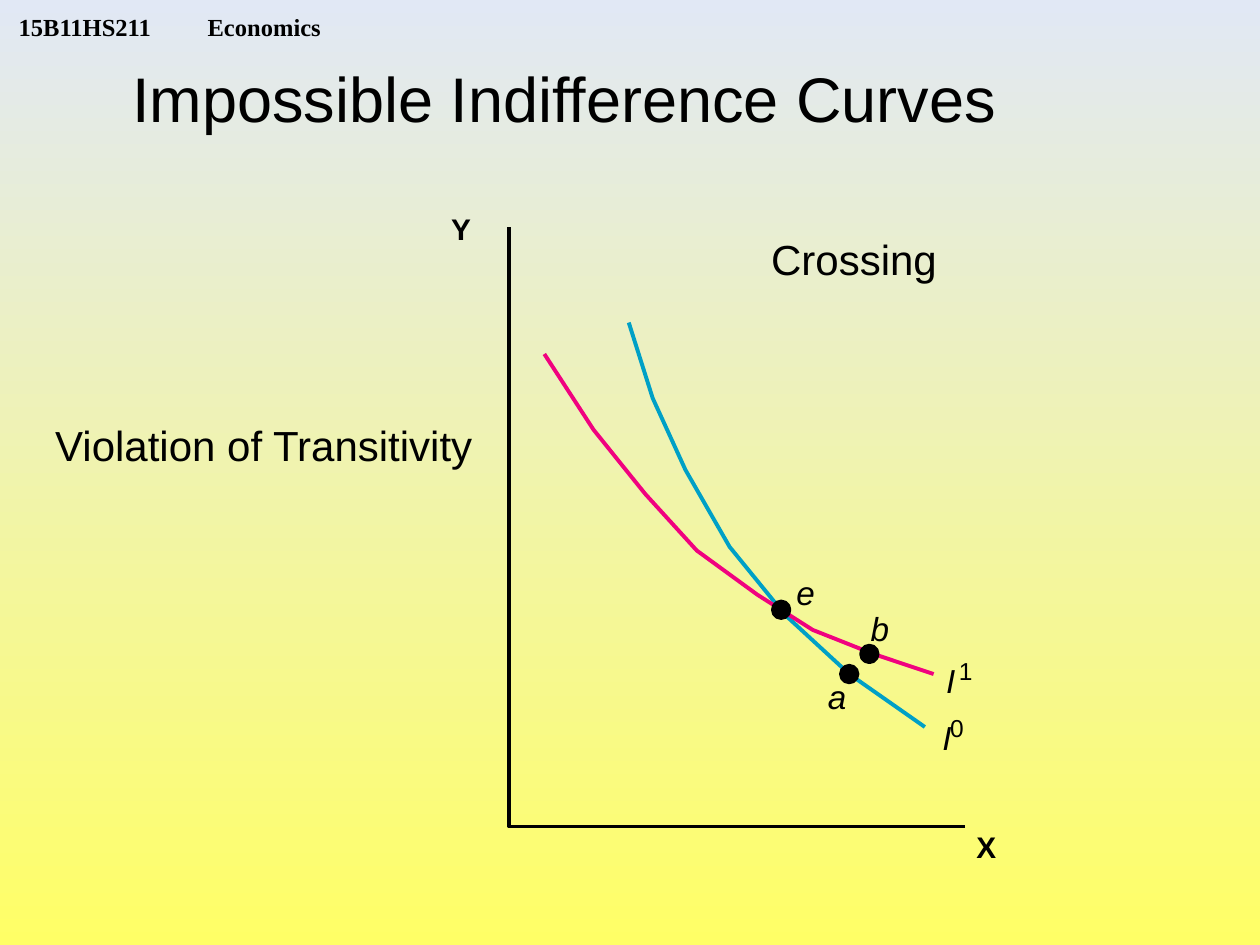
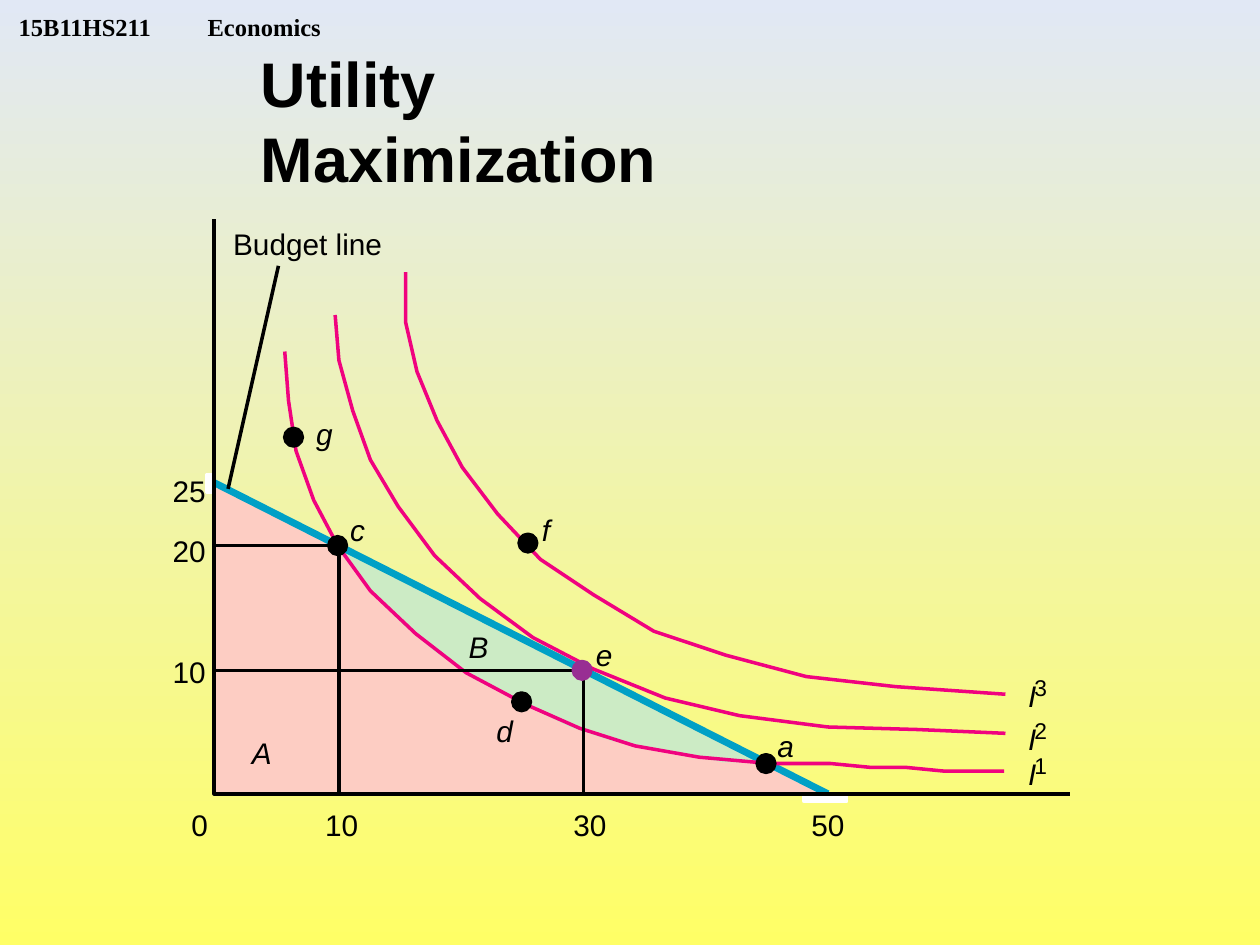
from lxml.etree import SubElement
from pptx import Presentation
from pptx.dml.color import RGBColor
from pptx.enum.shapes import MSO_CONNECTOR as Link, MSO_SHAPE as Shape
from pptx.enum.text import MSO_ANCHOR as Anchor, MSO_AUTO_SIZE as Fit, PP_ALIGN as Align
from pptx.oxml.ns import qn
from pptx.util import Inches, Pt

BLACK = RGBColor(0x00, 0x00, 0x00)
WHITE = RGBColor(0xFF, 0xFF, 0xFF)
YELLOW = RGBColor(0xFF, 0xFF, 0x66)
SKY = RGBColor(0xE1, 0xE8, 0xF5)
BLUE = RGBColor(0x00, 0xA0, 0xC6)
PINK = RGBColor(0xF0, 0x02, 0x7F)
ROSE = RGBColor(0xFD, 0xCD, 0xC3)
MINT = RGBColor(0xCC, 0xEB, 0xC5)
PLUM = RGBColor(0x98, 0x2E, 0x93)

HEADER = "15B11HS211\tEconomics"
PAD = (0.1, 0.05)
# Letter widths in ems; all others count as a digit
EMS = {"I": 0.28, "f": 0.28, "c": 0.5, "A": 0.67, "B": 0.67, "X": 0.67, "Y": 0.67}

# Slide 1: points as (x, y), letters as (text, x, y)
CROSS = {
    "title": ("Impossible Indifference Curves", 0.95, 0.42, 7.06, False),
    "axes": [(7.66, 6.56), (4.04, 6.56), (4.04, 1.8)],
    "curves": [
        (BLUE, [(4.99, 2.56), (5.18, 3.16), (5.44, 3.73), (5.79, 4.34),
                (6.23, 4.88), (6.74, 5.35), (7.34, 5.77)]),
        (PINK, [(4.32, 2.81), (4.71, 3.41), (5.12, 3.92), (5.53, 4.37),
                (6.01, 4.72), (6.45, 5), (6.93, 5.19), (7.41, 5.35)]),
    ],
    "dots": [(6.74, 5.35), (6.2, 4.84), (6.9, 5.19)],
    "letters": [("a", 6.57, 5.37), ("b", 6.91, 4.83), ("e", 6.32, 4.54)],
    "names": [("1", 7.51, 5.24, 0.1), ("0", 7.48, 5.69, 0.06)],
    "ends": [("Y", 3.58, 1.67), ("X", 7.75, 6.58)],
}

# Slide 2
LEFT, BASE = 1.7, 6.3
BEST = {
    "title": ("Utility Maximization", 1.97, 0.3, 4.86, True),
    "axes": [(8.49, BASE), (LEFT, BASE), (LEFT, 1.74)],
    "zones": [
        (ROSE, [(LEFT, 3.85), (LEFT, BASE), (6.52, BASE)]),
        (MINT, [(6.09, 6.07), (4.94, 5.48), (3.81, 4.92), (2.69, 4.33), (2.69, 4.36),
                (2.74, 4.44), (2.85, 4.58), (2.99, 4.75), (3.19, 4.95), (3.45, 5.17),
                (3.78, 5.4), (4.18, 5.6), (4.52, 5.77), (4.85, 5.88), (5.16, 5.93),
                (5.47, 5.99), (5.73, 6.05), (5.92, 6.05), (6.04, 6.07)]),
    ],
    "curves": [
        [(2.26, 2.79), (2.29, 3.18), (2.35, 3.58), (2.49, 3.97), (2.68, 4.33),
         (2.94, 4.69), (3.3, 5.03), (3.7, 5.34), (4.17, 5.59), (4.6, 5.78),
         (5.04, 5.92), (5.55, 6.01), (6.11, 6.06), (6.59, 6.06), (6.9, 6.09),
         (7.18, 6.09), (7.49, 6.12), (7.97, 6.12)],
        [(2.66, 2.5), (2.69, 2.86), (2.8, 3.26), (2.94, 3.65), (3.16, 4.02),
         (3.45, 4.41), (3.81, 4.75), (4.23, 5.06), (4.71, 5.31), (5.28, 5.54),
         (5.87, 5.68), (6.57, 5.77), (7.28, 5.79), (7.98, 5.82)],
        [(3.22, 2.16), (3.22, 2.56), (3.31, 2.95), (3.47, 3.34), (3.67, 3.71),
         (3.95, 4.08), (4.29, 4.44), (4.71, 4.72), (5.19, 5.01), (5.76, 5.2),
         (6.4, 5.37), (7.11, 5.45), (7.98, 5.51)],
    ],
    "budget": ((1.64, 3.8), (6.57, BASE)),
    "drops": [((LEFT, 4.33), (2.63, 4.33)), ((2.69, BASE), (2.69, 4.36))],
    "guides": [((LEFT, 5.32), (4.6, 5.32)), ((4.63, BASE), (4.63, 5.31)),
               ((2.21, 2.11), (1.81, 3.88))],
    "masks": [(1.64, 3.77, 0.06, 0.14), (6.38, 6.3, 0.34, 0.06)],
    "dots": [(2.33, 3.47), (4.19, 4.31), (4.14, 5.57), (6.08, 6.06)],
    "tops": [(4.62, 5.32, PLUM), (2.68, 4.33, BLACK)],
    "ticks": [("10", 1.37, 5.19), ("20", 1.37, 4.23), ("25", 1.37, 3.75), ("50", 6.44, 6.4),
              ("30", 4.55, 6.4), ("10", 2.58, 6.4), ("0", 1.52, 6.4)],
    "names": [("1", 8.16, 6), ("2", 8.16, 5.72), ("3", 8.16, 5.38)],
    "letters": [("d", 3.94, 5.66), ("f", 4.3, 4.06), ("c", 2.78, 4.06), ("e", 4.73, 5.05),
                ("a", 6.17, 5.78), ("g", 2.51, 3.3), ("A", 2, 5.83), ("B", 3.72, 4.99)],
}


# Text
def write(box, text, size, bold=False, slant=False, pad=(0, 0), face="Arial"):
    frame = box.text_frame
    frame.margin_left = frame.margin_right = Inches(pad[0])
    frame.margin_top = frame.margin_bottom = Inches(pad[1])
    frame.word_wrap = False
    frame.auto_size = Fit.NONE
    frame.vertical_anchor = Anchor.TOP
    frame.text = text
    par = frame.paragraphs[0]
    par.alignment = Align.LEFT
    font = par.font
    font.name, font.size, font.bold, font.italic = face, Pt(size), bold, slant
    font.color.rgb = BLACK
    return frame


def label(slide, text, x, y, size, wide=None, pad=(0, 0), **look):
    wide = wide or sum(EMS.get(char, 0.56) for char in text) * size / 72
    high = size * 1.2 / 72 + 2 * pad[1]
    box = slide.shapes.add_textbox(Inches(x), Inches(y), Inches(wide), Inches(high))
    write(box, text, size, pad=pad, **look)


def name_curve(slide, power, x, y, size, gap, small):
    label(slide, "I", x, y, size, slant=True)
    label(slide, power, x + gap, y - 0.03, small)


# Shapes
def paint(shape, fill, line, width):
    shape.shadow.inherit = False
    if fill is None:
        shape.fill.background()
    else:
        shape.fill.solid()
        shape.fill.fore_color.rgb = fill
    if line is None:
        shape.line.fill.background()
    else:
        shape.line.color.rgb = line
        shape.line.width = Pt(width)


def trace(slide, points, fill=None, line=None, width=2):
    spots = [(Inches(x), Inches(y)) for x, y in points]
    pen = slide.shapes.build_freeform(*spots[0], scale=1.0)
    pen.add_line_segments(spots[1:], close=fill is not None)
    paint(pen.convert_to_shape(), fill, line, width)


def block(slide, kind, x, y, wide, high, color, width):
    shape = slide.shapes.add_shape(kind, Inches(x), Inches(y), Inches(wide), Inches(high))
    paint(shape, color, color, width)


def dot(slide, x, y, size, color=BLACK, width=2):
    block(slide, Shape.OVAL, x - size / 2, y - size / 2, size, size, color, width)


def rule(slide, start, end, color=BLACK, width=2):
    line = slide.shapes.add_connector(Link.STRAIGHT, *(Inches(v) for v in start + end))
    line.line.color.rgb = color
    line.line.width = Pt(width)
    SubElement(line._element.spPr, qn("a:effectLst"))


# Shared backdrop, header and title
def set_back(deck):
    fill = deck.slide_master.background.fill
    fill.gradient()
    fill.gradient_angle = 90
    for stop, color, place in zip(fill.gradient_stops, (YELLOW, SKY), (0, 1)):
        stop.color.rgb = color
        stop.position = place


def add_page(deck, title, x, y, wide, bold):
    slide = deck.slides.add_slide(deck.slide_layouts[5])
    head = slide.shapes.add_textbox(Inches(0.05), 0, Inches(3.2), Inches(0.33))
    props = head.text_frame.paragraphs[0]._p.get_or_add_pPr()
    tabs = SubElement(props, qn("a:tabLst"))
    SubElement(tabs, qn("a:tab"), pos=str(Inches(1.63)), algn="l")
    frame = write(head, HEADER, 14, bold=True, pad=(0.1, 0), face="Times New Roman")
    frame.word_wrap = True
    frame.vertical_anchor = Anchor.BOTTOM
    name = slide.shapes.title
    name.left, name.top, name.width, name.height = map(Inches, (x, y, wide, 0.7))
    write(name, title, 36, bold=bold, pad=PAD)
    return slide


def draw_cross(deck):
    slide = add_page(deck, *CROSS["title"])
    trace(slide, CROSS["axes"], line=BLACK, width=2.25)
    for color, points in CROSS["curves"]:
        trace(slide, points, line=color, width=2.25)
    for x, y in CROSS["dots"]:
        dot(slide, x, y, 0.13, width=2.25)
    label(slide, "Crossing", 6.12, 1.85, 24, wide=1.31)
    label(slide, "Violation of Transitivity", 0.34, 3.28, 24, wide=3.53, pad=PAD)
    for power, x, y, gap in CROSS["names"]:
        name_curve(slide, power, x, y, 19, gap, 14)
    for text, x, y in CROSS["letters"]:
        label(slide, text, x, y, 19, slant=True)
    for text, x, y in CROSS["ends"]:
        label(slide, text, x, y, 17, bold=True)


def draw_best(deck):
    slide = add_page(deck, *BEST["title"])
    for color, points in BEST["zones"]:
        trace(slide, points, fill=color)
    rule(slide, *BEST["budget"], color=BLUE, width=4)
    for ends in BEST["drops"]:
        rule(slide, *ends)
    for points in BEST["curves"]:
        trace(slide, points, line=PINK)
    for spot in BEST["masks"]:
        block(slide, Shape.RECTANGLE, *spot, WHITE, 2)
    trace(slide, BEST["axes"], line=BLACK)
    for x, y in BEST["dots"]:
        dot(slide, x, y, 0.14)
    for ends in BEST["guides"]:
        rule(slide, *ends)
    label(slide, "Budget line", 1.85, 1.79, 17, wide=1.19)
    for text, x, y in BEST["ticks"]:
        label(slide, text, x, y, 17)
    for power, x, y in BEST["names"]:
        name_curve(slide, power, x, y, 17, 0.05, 13)
    for text, x, y in BEST["letters"]:
        label(slide, text, x, y, 17, slant=True)
    for x, y, color in BEST["tops"]:
        dot(slide, x, y, 0.14, color)


def main():
    deck = Presentation()
    deck.slide_width, deck.slide_height = Inches(10), Inches(7.5)
    set_back(deck)
    draw_cross(deck)
    draw_best(deck)
    deck.save("out.pptx")


if __name__ == "__main__":
    main()
